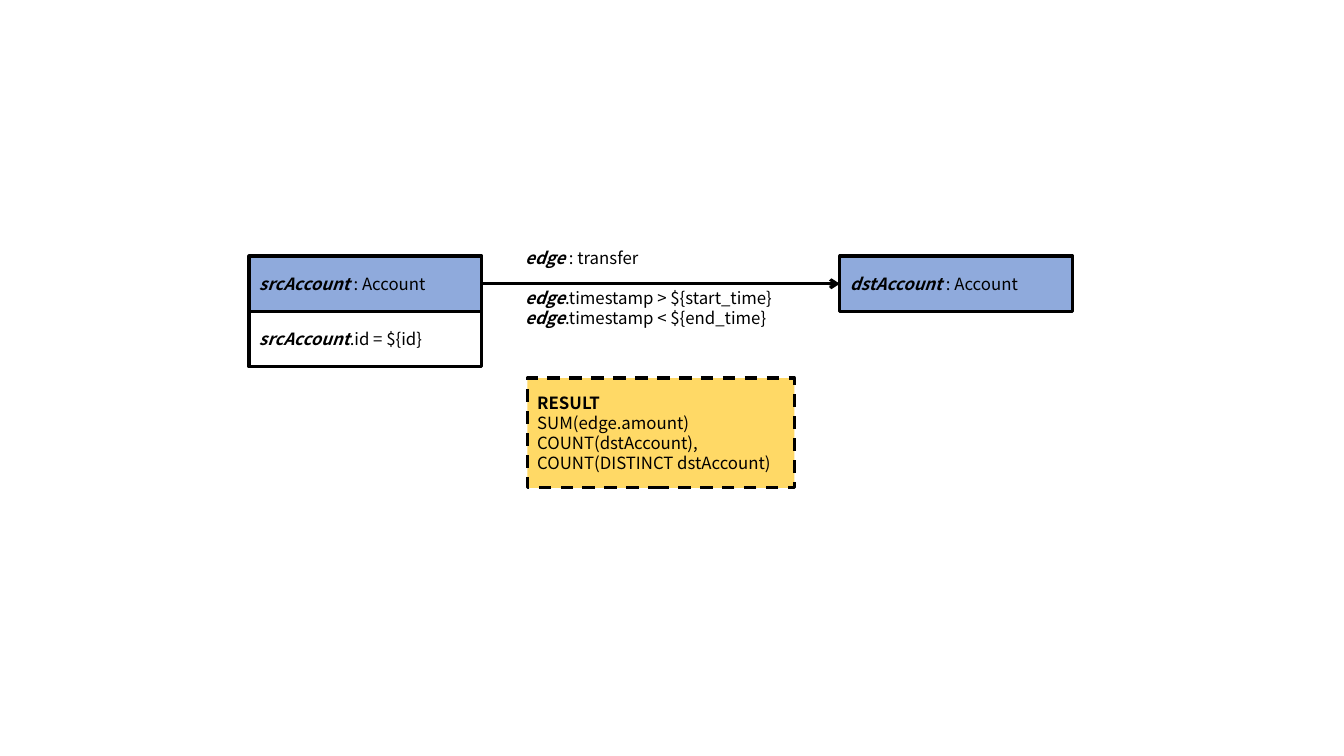
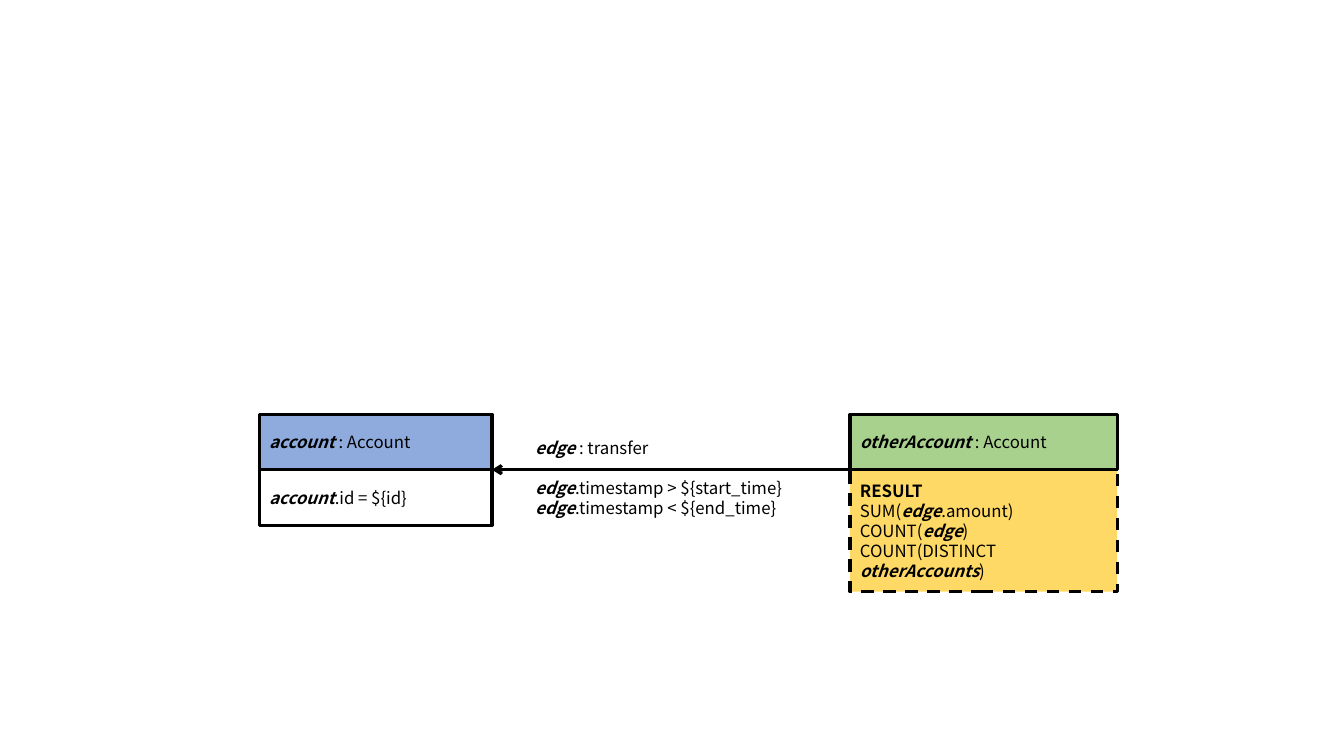
from dataclasses import dataclass

from lxml.etree import SubElement
from pptx import Presentation
from pptx.dml.color import RGBColor
from pptx.enum.dml import MSO_LINE
from pptx.enum.shapes import MSO_CONNECTOR, MSO_SHAPE
from pptx.enum.text import MSO_ANCHOR, MSO_AUTO_SIZE, PP_ALIGN
from pptx.oxml.ns import qn
from pptx.util import Inches, Pt

# Shared look
BLACK = RGBColor(0x00, 0x00, 0x00)
BLUE = RGBColor(0x8F, 0xAA, 0xDC)
GREEN = RGBColor(0xA9, 0xD1, 0x8E)
YELLOW = RGBColor(0xFF, 0xD9, 0x66)
LINE_WIDTH = Pt(2.25)
FONT = {"name": "Noto Sans CJK SC", "size": Pt(12)}
PLAIN = {"bold": False, "italic": False}
BOLD = {"bold": True, "italic": False}
NAME = {"bold": True, "italic": True}

# Shared measures in inches
NODE_WIDTH = 2.31
ROW = 0.55
EDGE_LENGTH = 3.55
RESULT_WIDTH = 2.65
LABEL_INDENT = 0.33
LABEL_HEIGHT = 0.91
LABEL_GAP = Pt(14.6)

EDGE_LABEL = [
    [("edge ", NAME), (": transfer", PLAIN)],
    [("edge", NAME), (".timestamp > ${start_time}", PLAIN)],
    [("edge", NAME), (".timestamp < ${end_time}", PLAIN)],
]


@dataclass
class Box:
    left: float
    top: float
    width: float
    height: float

    def inches(self):
        return [Inches(v) for v in (self.left, self.top, self.width, self.height)]


def write(frame, lines):
    """Fill a text frame with lines of (text, style) spans."""
    frame.word_wrap = True
    for index, line in enumerate(lines):
        para = frame.paragraphs[0] if index == 0 else frame.add_paragraph()
        para.alignment = PP_ALIGN.LEFT
        for text, style in line:
            span = para.add_run()
            span.text = text
            for key, value in {**FONT, **style}.items():
                setattr(span.font, key, value)
            span.font.color.rgb = BLACK


def add_block(page, box, lines, fill=None, dash=None):
    block = page.shapes.add_shape(MSO_SHAPE.RECTANGLE, *box.inches())
    block.shadow.inherit = False
    if fill is None:
        block.fill.background()
    else:
        block.fill.solid()
        block.fill.fore_color.rgb = fill
    block.line.color.rgb = BLACK
    block.line.width = LINE_WIDTH
    if dash is not None:
        block.line.dash_style = dash
    block.text_frame.vertical_anchor = MSO_ANCHOR.MIDDLE
    write(block.text_frame, lines)
    return block


def add_header(page, box, name, fill):
    return add_block(page, box, [[(name + " ", NAME), (": Account", PLAIN)]], fill)


def add_result(page, box, lines):
    add_block(page, box, [[("RESULT", BOLD)], *lines], YELLOW, MSO_LINE.DASH)


def add_account(page, left, top, name):
    """Blue header with the id condition in the row below."""
    header = add_header(page, Box(left, top, NODE_WIDTH, ROW), name, BLUE)
    add_block(page, Box(left, top + ROW, NODE_WIDTH, ROW),
              [[(name, NAME), (".id = ${id}", PLAIN)]])
    return header


def add_edge(page, start, end, y):
    edge = page.shapes.add_connector(
        MSO_CONNECTOR.STRAIGHT, Inches(start), Inches(y), Inches(end), Inches(y))
    edge.line.color.rgb = BLACK
    edge.line.width = LINE_WIDTH
    SubElement(edge.line._get_or_add_ln(), qn("a:tailEnd"), type="arrow")
    SubElement(edge._element.spPr, qn("a:effectLst"))
    return edge


def add_edge_label(page, left, top, width):
    label = page.shapes.add_textbox(*Box(left, top, width, LABEL_HEIGHT).inches())
    write(label.text_frame, EDGE_LABEL)
    label.text_frame.auto_size = MSO_AUTO_SIZE.SHAPE_TO_FIT_TEXT
    # The conditions sit below the arrow
    label.text_frame.paragraphs[1].space_before = LABEL_GAP


def outgoing_transfers(page, left, top):
    """Source account pointing to a destination, result below the edge."""
    edge_left = left + NODE_WIDTH
    edge_right = edge_left + EDGE_LENGTH
    edge_y = top + ROW / 2
    source = add_account(page, left, top, "srcAccount")
    edge = add_edge(page, edge_left, edge_right, edge_y)
    add_edge_label(page, edge_left + LABEL_INDENT, edge_y - 0.41, RESULT_WIDTH)
    add_result(page, Box(edge_left + 0.45, top + 1.21, RESULT_WIDTH, 1.09), [
        [("SUM(edge.amount)", PLAIN)],
        [("COUNT(dstAccount),", PLAIN)],
        [("COUNT(DISTINCT dstAccount)", PLAIN)],
    ])
    target = add_header(page, Box(edge_right, top, NODE_WIDTH, ROW), "dstAccount", BLUE)
    edge.begin_connect(source, 3)
    edge.end_connect(target, 1)


def incoming_transfers(page, left, top):
    """Other account pointing back, result attached below it."""
    edge_left = left + NODE_WIDTH
    edge_right = edge_left + EDGE_LENGTH
    edge_y = top + ROW
    add_account(page, left, top, "account")
    add_edge(page, edge_right, edge_left, edge_y)
    add_edge_label(page, edge_left + LABEL_INDENT, edge_y - 0.37, 2.93)
    add_result(page, Box(edge_right, edge_y, RESULT_WIDTH, 1.21), [
        [("SUM(", PLAIN), ("edge", NAME), (".amount)", PLAIN)],
        [("COUNT(", PLAIN), ("edge", NAME), (")", PLAIN)],
        [("COUNT(DISTINCT ", PLAIN), ("otherAccounts", NAME), (")", PLAIN)],
    ])
    add_header(page, Box(edge_right, top, RESULT_WIDTH, ROW), "otherAccount", GREEN)


def main():
    deck = Presentation()
    deck.slide_width = Inches(13.33)
    deck.slide_height = Inches(7.5)
    blank = deck.slide_layouts[6]
    outgoing_transfers(deck.slides.add_slide(blank), 2.47, 2.54)
    incoming_transfers(deck.slides.add_slide(blank), 2.57, 4.11)
    deck.save("out.pptx")


if __name__ == "__main__":
    main()
